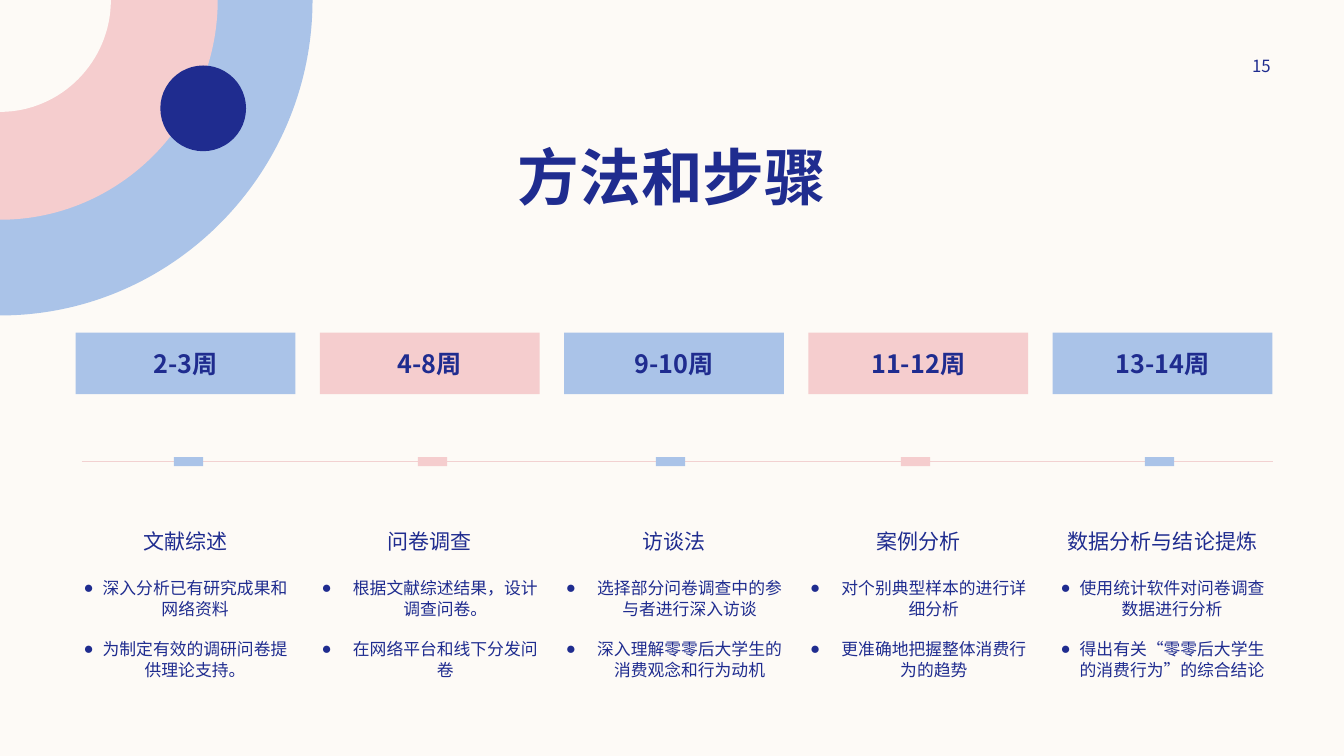
from lxml import etree
from pptx import Presentation
from pptx.dml.color import RGBColor
from pptx.enum.shapes import MSO_CONNECTOR, MSO_SHAPE
from pptx.enum.text import MSO_ANCHOR, MSO_AUTO_SIZE, PP_ALIGN
from pptx.oxml.ns import qn
from pptx.util import Inches, Pt

RECTANGLE = MSO_SHAPE.RECTANGLE
OVAL = MSO_SHAPE.OVAL
STRAIGHT = MSO_CONNECTOR.STRAIGHT
CENTER = PP_ALIGN.CENTER
MIDDLE = MSO_ANCHOR.MIDDLE
TOP = MSO_ANCHOR.TOP
NO_AUTOFIT = MSO_AUTO_SIZE.NONE

FONT = "Noto Sans CJK SC"
ARC_HANDLE = 0.55
COLORS = {
    "cream": "FDFAF6",
    "blue": "AAC3E8",
    "pink": "F5CDCE",
    "navy": "1F2C8F",
    "line": "F2D1D1",
}
STEPS = [
    ("2-3周", 1.87, 0.19, "文献综述",
     ["深入分析已有研究成果和网络资料", "为制定有效的调研问卷提供理论支持。"]),
    ("4-8周", 4.29, 0.31, "问卷调查",
     ["根据文献综述结果，设计调查问卷。", "在网络平台和线下分发问卷"]),
    ("9-10周", 6.65, 0.31, "访谈法",
     ["选择部分问卷调查中的参与者进行深入访谈", "深入理解零零后大学生的消费观念和行为动机"]),
    ("11-12周", 9.08, 0.31, "案例分析",
     ["对个别典型样本的进行详细分析", "更准确地把握整体消费行为的趋势"]),
    ("13-14周", 11.5, 0.19, "数据分析与结论提炼",
     ["使用统计软件对问卷调查数据进行分析", "得出有关“零零后大学生的消费行为”的综合结论"]),
]


def color(name):
    return RGBColor.from_string(COLORS[name])


def place(shape, left, top, width, height):
    shape.left, shape.top = Inches(left), Inches(top)
    shape.width, shape.height = Inches(width), Inches(height)


def paint(shape, fill):
    shape.shadow.inherit = False
    shape.fill.solid()
    shape.fill.fore_color.rgb = color(fill)
    shape.line.fill.background()


def add_box(slide, kind, left, top, width, height, fill):
    shape = slide.shapes.add_shape(
        kind, Inches(left), Inches(top), Inches(width), Inches(height))
    paint(shape, fill)
    return shape


def set_frame(frame, anchor, side, edge):
    frame.word_wrap = True
    frame.auto_size = NO_AUTOFIT
    frame.vertical_anchor = anchor
    frame.margin_left = frame.margin_right = Inches(side)
    frame.margin_top = frame.margin_bottom = Inches(edge)


def write(paragraph, text, size, bold=False):
    paragraph.alignment = CENTER
    run = paragraph.add_run()
    run.text = text
    run.font.size = Pt(size)
    run.font.bold = bold
    run.font.name = FONT
    run.font.color.rgb = color("navy")
    east_asian = etree.SubElement(run.font._element, qn("a:ea"))
    east_asian.set("typeface", FONT)


def set_bullet(paragraph, indent=0):
    properties = paragraph._p.get_or_add_pPr()
    properties.set("marL", str(Inches(indent)))
    properties.set("indent", str(-Inches(indent)))
    if indent:
        etree.SubElement(properties, qn("a:buChar")).set("char", "●")
    else:
        etree.SubElement(properties, qn("a:buNone"))


def add_quarter_disc(slide, width, height, fill):
    right, bottom = Inches(width), Inches(height)
    builder = slide.shapes.build_freeform(0, 0)
    builder.add_line_segments([(right, 0), (0, bottom)], close=True)
    shape = builder.convert_to_shape()
    edge = list(shape._element.iter(qn("a:lnTo")))[1]
    curve = etree.Element(qn("a:cubicBezTo"))
    for x, y in [(right, int(bottom * ARC_HANDLE)),
                 (int(right * ARC_HANDLE), bottom), (0, bottom)]:
        point = etree.SubElement(curve, qn("a:pt"))
        point.set("x", str(x))
        point.set("y", str(y))
    edge.getparent().replace(edge, curve)
    paint(shape, fill)


def add_corner(slide):
    add_quarter_disc(slide, 3.1, 3.13, "blue")
    add_quarter_disc(slide, 2.16, 2.18, "pink")
    add_quarter_disc(slide, 1.1, 1.11, "cream")
    add_box(slide, OVAL, 1.59, 0.65, 0.85, 0.85, "navy")


def add_heading(slide, left, top, width, height):
    title = slide.shapes.title
    place(title, left, top, width, height)
    set_frame(title.text_frame, MIDDLE, 0.1, 0.05)
    write(title.text_frame.paragraphs[0], "方法和步骤", 44, True)


def add_page_number(slide, left, top, width, height):
    box = slide.shapes.add_textbox(
        Inches(left), Inches(top), Inches(width), Inches(height))
    set_frame(box.text_frame, MIDDLE, 0.1, 0.05)
    write(box.text_frame.paragraphs[0], "15", 12)


def add_axis(slide, left, right, middle):
    axis = slide.shapes.add_connector(
        STRAIGHT, Inches(left), Inches(middle), Inches(right), Inches(middle))
    axis.line.color.rgb = color("line")
    axis.line.width = Pt(1)
    etree.SubElement(axis._element.spPr, qn("a:effectLst"))


def fill_list(placeholder, heading, items, indent):
    frame = placeholder.text_frame
    set_frame(frame, TOP, 0, 0.05)
    paragraph = frame.paragraphs[0]
    write(paragraph, heading, 15)
    paragraph.line_spacing = Pt(18)
    paragraph.space_before = Pt(0)
    paragraph.space_after = Pt(3)
    set_bullet(paragraph)
    for item in items:
        paragraph = frame.add_paragraph()
        write(paragraph, item, 12)
        paragraph.line_spacing = Pt(14.6)
        paragraph.space_before = Pt(14.4)
        set_bullet(paragraph, indent)


def add_timeline(slide, left, top, width, height):
    column = 2.18
    pitch = (width - column) / (len(STEPS) - 1)
    axis_middle = top + 1.28
    list_top = top + 1.89
    add_axis(slide, left + 0.06, left + width + 0.01, axis_middle)

    body_layout = slide.slide_layout.placeholders[1]
    for _ in STEPS[1:]:
        slide.shapes.clone_placeholder(body_layout)
    bodies = [shape for shape in slide.placeholders
              if shape.placeholder_format.idx == 1]

    for index, (weeks, tick, indent, heading, items) in enumerate(STEPS):
        x = left + index * pitch
        fill = ("blue", "pink")[index % 2]
        label = add_box(slide, RECTANGLE, x, top, column, 0.61, fill)
        set_frame(label.text_frame, MIDDLE, 0, 0)
        write(label.text_frame.paragraphs[0], weeks, 18, True)
        add_box(slide, RECTANGLE, tick - 0.145, axis_middle - 0.045, 0.29, 0.09, fill)
        place(bodies[index], x, list_top, column, top + height - list_top)
        fill_list(bodies[index], heading, items, indent)


def main():
    presentation = Presentation()
    presentation.slide_width = Inches(13.33)
    presentation.slide_height = Inches(7.5)
    slide = presentation.slides.add_slide(presentation.slide_layouts[1])
    slide.background.fill.solid()
    slide.background.fill.fore_color.rgb = color("cream")
    add_corner(slide)
    add_heading(slide, 0.83, 1.32, 11.67, 0.84)
    add_page_number(slide, 11.97, 0.5, 1.08, 0.3)
    add_timeline(slide, 0.75, 3.3, 11.87, 3.95)
    presentation.save("out.pptx")


if __name__ == "__main__":
    main()
